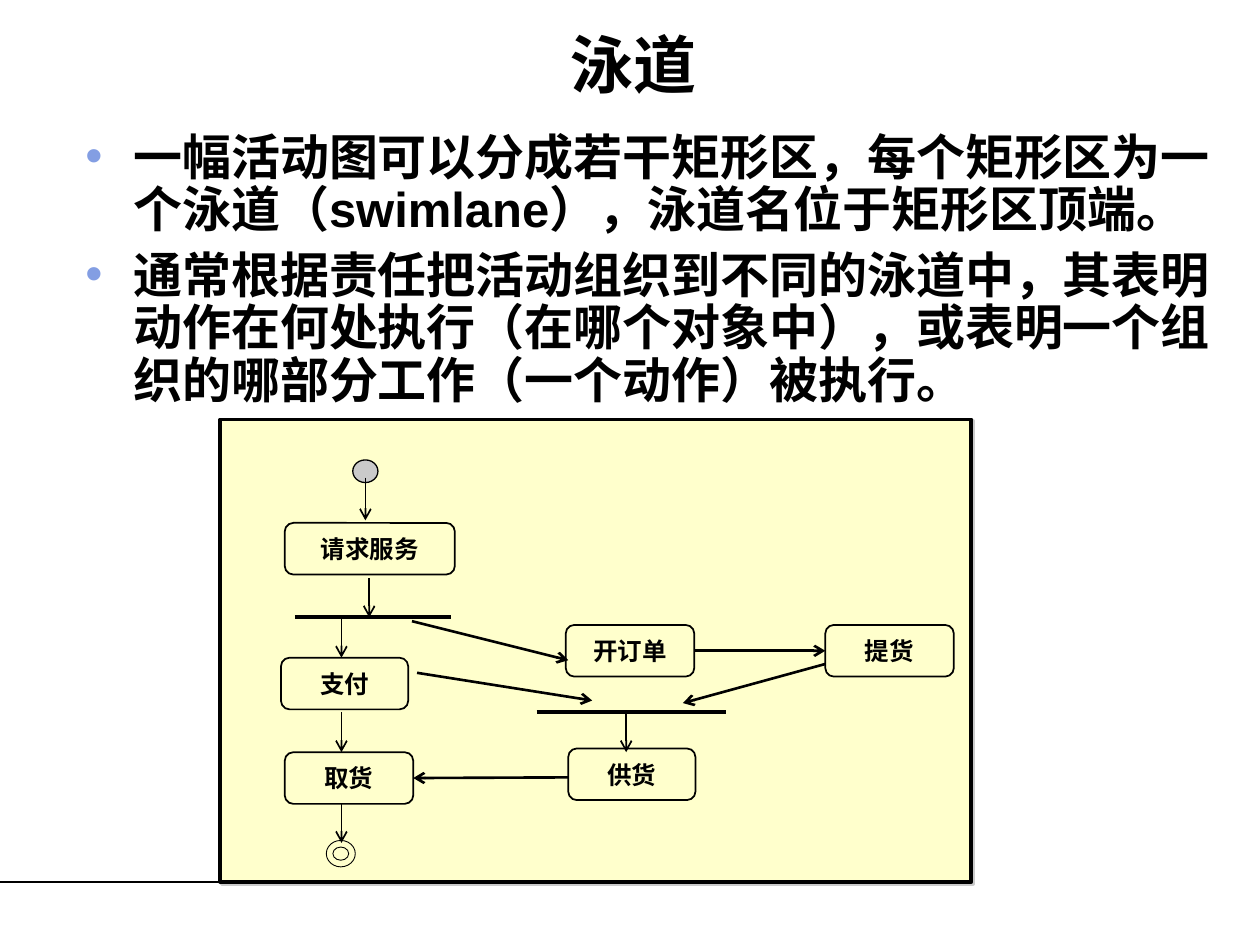
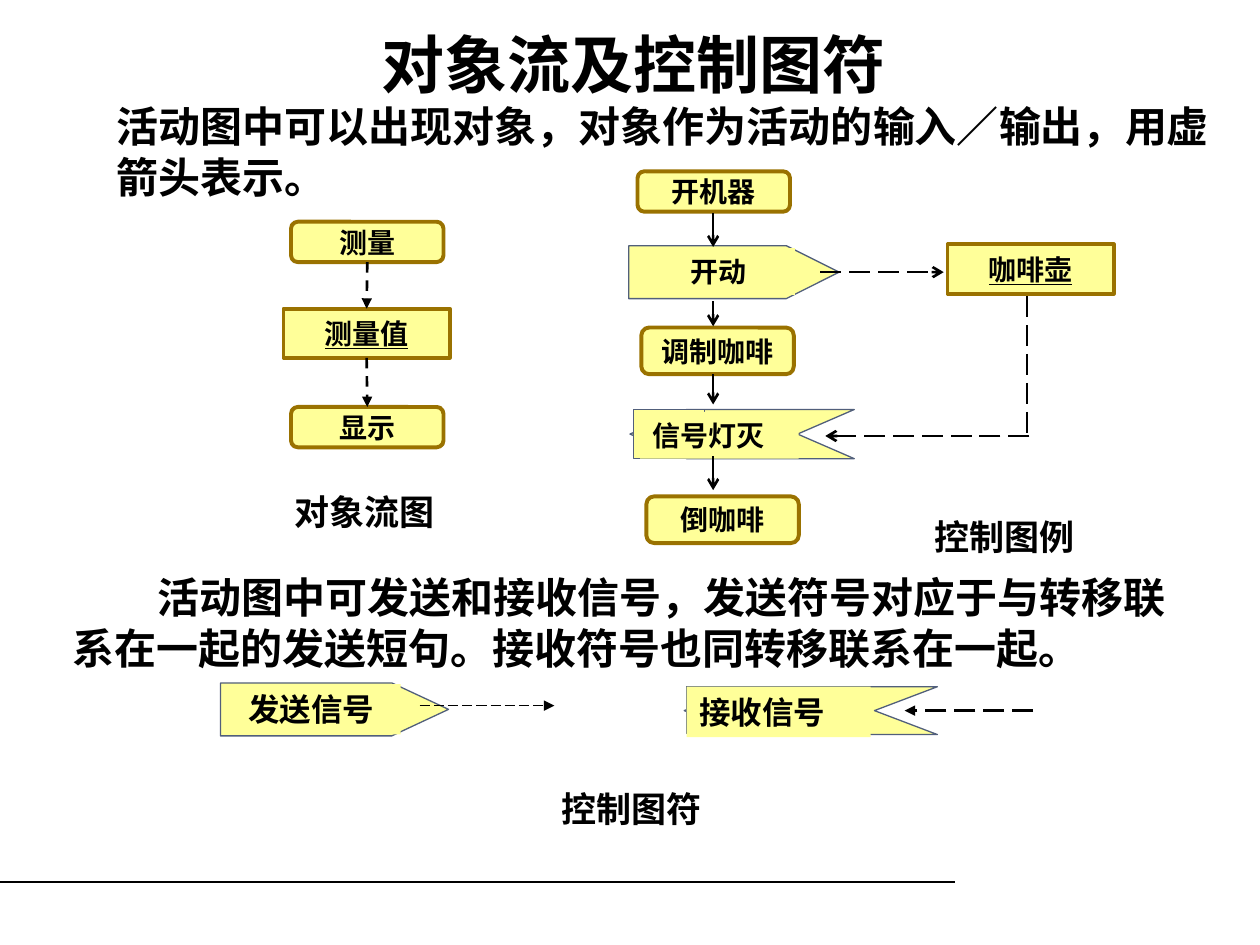
from lxml import etree
from pptx import Presentation
from pptx.dml.color import RGBColor
from pptx.enum.dml import MSO_LINE
from pptx.enum.shapes import MSO_CONNECTOR, MSO_SHAPE
from pptx.enum.text import MSO_ANCHOR, PP_ALIGN
from pptx.oxml.ns import qn
from pptx.util import Inches, Pt

BLACK = RGBColor(0, 0, 0)
GRAY = RGBColor(0xCA, 0xCA, 0xCA)
CREAM = RGBColor(0xFF, 0xFF, 0xCC)
YELLOW = RGBColor(0xFF, 0xFF, 0x99)
BROWN = RGBColor(0x9A, 0x72, 0x00)
SLATE = RGBColor(0x51, 0x5F, 0x7B)
BULLET = "839EE3"

ARIAL, TIMES, NOTO = "Arial", "Times New Roman", "Noto Sans CJK SC"
RECT, ROUND = MSO_SHAPE.RECTANGLE, MSO_SHAPE.ROUNDED_RECTANGLE
DOT, DONUT = MSO_SHAPE.FLOWCHART_CONNECTOR, MSO_SHAPE.DONUT
LEFT, CENTER = PP_ALIGN.LEFT, PP_ALIGN.CENTER
TOP, MIDDLE = MSO_ANCHOR.TOP, MSO_ANCHOR.MIDDLE
DASH, LONG = MSO_LINE.DASH, MSO_LINE.LONG_DASH
STRAIGHT = MSO_CONNECTOR.STRAIGHT
PITCH = 1.2  # line height as a share of the text size


def put(slide, kind, at, fill=None, line=None, width=0.75, text="",
        size=16, face=NOTO, align=LEFT, anchor=TOP, wrap=True, tight=1):
    """Place the title, a text box or a preset shape, with its text."""
    place = [Inches(v) for v in at]
    if kind == "title":
        shape = slide.shapes.title
        shape.left, shape.top, shape.width, shape.height = place
    elif kind == "text":
        shape = slide.shapes.add_textbox(*place)
    else:
        shape = slide.shapes.add_shape(kind, *place)
        shape.shadow.inherit = False
        if fill is None:
            shape.fill.background()
        else:
            shape.fill.solid()
            shape.fill.fore_color.rgb = fill
        if line is None:
            shape.line.fill.background()
        else:
            shape.line.color.rgb = line
            shape.line.width = Pt(width)
    if not text:
        return shape
    frame = shape.text_frame
    frame.word_wrap = wrap
    frame.vertical_anchor = anchor
    for i, words in enumerate(text.split("\n")):
        para = frame.add_paragraph() if i else frame.paragraphs[0]
        para.alignment = align
        para.line_spacing = Pt(round(size * PITCH * tight, 1))
        run = para.add_run()
        run.text = words
        font = run.font
        font.name, font.size, font.bold = face, Pt(size), True
        font.color.rgb = BLACK
        east = etree.SubElement(run._r.get_or_add_rPr(), qn("a:ea"))
        east.set("typeface", NOTO)
    return shape


def wire(slide, ends, width=1.0, head="arrow", dash=None):
    """Draw a straight line, with an arrowhead at its end if one is named."""
    link = slide.shapes.add_connector(STRAIGHT, *[Inches(v) for v in ends])
    link.line.color.rgb = BLACK
    link.line.width = Pt(width)
    if dash:
        link.line.dash_style = dash
    if head:
        tail = etree.SubElement(link.line._get_or_add_ln(), qn("a:tailEnd"))
        tail.set("type", head)
    etree.SubElement(link._element.spPr, qn("a:effectLst"))
    return link


prs = Presentation()
prs.slide_width, prs.slide_height = Inches(10), Inches(7.5)

# Shared: title and footer line
slides = []
for name in ("泳道", "对象流及控制图符"):
    page = prs.slides.add_slide(prs.slide_layouts[5])
    wire(page, (0, 7, 7.58, 7), 0.75, None)
    put(page, "title", (0.5, 0.25, 9.05, 0.5), text=name, size=36,
        face=ARIAL, align=CENTER, anchor=MIDDLE)
    slides.append(page)
lanes, flows = slides

# Slide 1: panel with its shadow
panel = put(lanes, RECT, (1.75, 3.33, 5.96, 3.67), CREAM, BLACK, 2.25)
glow = etree.SubElement(panel._element.spPr.find(qn("a:effectLst")),
                        qn("a:outerShdw"), dist=str(Pt(1.4)), dir="2700000",
                        algn="ctr", rotWithShape="0")
etree.SubElement(glow, qn("a:srgbClr"), val=str(GRAY))

# Slide 1: start, end and activities
put(lanes, DOT, (2.8, 3.65, 0.2, 0.18), GRAY, BLACK)
ring = put(lanes, DONUT, (2.59, 6.67, 0.23, 0.21), None, BLACK, 0.5)
ring.adjustments[0] = 0.25
acts = {}
for name, x, y, w in (
    ("请求服务", 2.26, 4.15, 1.35),
    ("支付", 2.23, 5.22, 1.01),
    ("取货", 2.26, 5.97, 1.02),
    ("提货", 6.55, 4.96, 1.02),
    ("开订单", 4.49, 4.96, 1.02),
    ("供货", 4.51, 5.94, 1.01),
):
    acts[name] = put(lanes, ROUND, (x, y, w, 0.41), None, BLACK, 1, name, 14,
                     align=CENTER, anchor=MIDDLE, wrap=False)

# Slide 1: fork and join bars, then transitions
for bar in ((2.34, 4.9, 3.58, 4.9), (4.26, 5.65, 5.76, 5.65)):
    wire(lanes, bar, 2.25, None)
for x, y, end in ((2.9, 3.79, 4.13), (2.93, 4.59, 4.9), (2.71, 4.9, 5.22),
                  (2.71, 5.65, 5.97), (2.71, 6.38, 6.69), (4.97, 5.65, 5.97)):
    wire(lanes, (x, y, x, end))
for ends in ((3.27, 4.93, 4.51, 5.24), (3.31, 5.34, 4.7, 5.56),
             (6.55, 5.27, 5.42, 5.58)):
    wire(lanes, ends, 1.5)
link = wire(lanes, (5.53, 5.16, 6.55, 5.16), 1.5)
link.begin_connect(acts["开订单"], 3)
link.end_connect(acts["提货"], 1)
link = wire(lanes, (4.51, 6.17, 3.28, 6.17), 1.5)
link.end_connect(acts["取货"], 3)

# Slide 1: bullets
body = put(
    lanes, "text", (0.58, 1, 9.25, 2.5), size=28, face=ARIAL, tight=0.9,
    text="一幅活动图可以分成若干矩形区，每个矩形区为一个泳道（swimlane），"
         "泳道名位于矩形区顶端。\n"
         "通常根据责任把活动组织到不同的泳道中，其表明动作在何处执行"
         "（在哪个对象中），或表明一个组织的哪部分工作（一个动作）被执行。")
for i, para in enumerate(body.text_frame.paragraphs):
    para.space_before = Pt(7 if i else 0)
    props = para._p.get_or_add_pPr()
    props.set("marL", str(Inches(0.38)))
    props.set("indent", str(-Inches(0.38)))
    tint = etree.SubElement(props, qn("a:buClr"))
    etree.SubElement(tint, qn("a:srgbClr"), val=BULLET)
    etree.SubElement(props, qn("a:buFont"), typeface=ARIAL)
    etree.SubElement(props, qn("a:buChar"), char="•")

# Slide 2: running text
put(flows, "text", (0.83, 0.75, 8.91, 0.9), size=24, face=TIMES,
    text="活动图中可以出现对象，对象作为活动的输入／输出，用虚箭头表示。")
note = put(flows, "text", (0.48, 4.49, 9.06, 0.9), size=24,
           text="活动图中可发送和接收信号，发送符号对应于与转移联系在一起的"
                "发送短句。接收符号也同转移联系在一起。")
note.text_frame.paragraphs[0]._p.get_or_add_pPr().set(
    "indent", str(Inches(0.67)))

# Slide 2: send tags (point right) and receive tags (notch right)
for x, y, w, h, tip, notch in (
    (1.75, 5.42, 1.81, 0.42, 0.45, False),
    (5.43, 5.45, 2.01, 0.38, 0.5, True),
    (4.99, 1.95, 1.67, 0.42, 0.42, False),
    (5, 3.25, 1.78, 0.39, 0.45, True),
):
    right, mid, low = x + w, y + h / 2, y + h
    if notch:
        dots = [(right, low), (x + tip, low), (x, mid), (x + tip, y),
                (right, y), (right - tip, mid)]
    else:
        dots = [(x, y), (right - tip, y), (right, mid), (right - tip, low),
                (x, low)]
    dots = [(Inches(a), Inches(b)) for a, b in dots]
    pen = flows.shapes.build_freeform(*dots[0])
    pen.add_line_segments(dots[1:], close=True)
    tag = pen.convert_to_shape()
    tag.shadow.inherit = False
    tag.fill.solid()
    tag.fill.fore_color.rgb = YELLOW
    tag.line.color.rgb = SLATE
    tag.line.width = Pt(0.75)

# Slide 2: square left ends and tag names
for at in ((5.45, 5.45, 0.63, 0.37), (5.03, 3.25, 0.56, 0.39)):
    put(flows, RECT, at, YELLOW, SLATE)
for name, at, size, align in (
    ("发送信号", (1.87, 5.43, 1.31, 0.4), 18, LEFT),
    ("接收信号", (5.45, 5.45, 1.46, 0.4), 18, LEFT),
    ("开动", (5.1, 1.97, 1.21, 0.37), 16, CENTER),
    ("信号灯灭", (5.08, 3.27, 1.26, 0.37), 16, LEFT),
):
    put(flows, RECT, at, YELLOW, text=name, size=size, face=TIMES, align=align)

# Slide 2: activities (rounded) and objects (square, underlined)
steps = {}
for name, kind, at in (
    ("测量", ROUND, (2.31, 1.76, 1.21, 0.32)),
    ("测量值", RECT, (2.25, 2.45, 1.32, 0.39)),
    ("显示", ROUND, (2.31, 3.23, 1.21, 0.32)),
    ("开机器", ROUND, (5.06, 1.36, 1.21, 0.32)),
    ("调制咖啡", ROUND, (5.09, 2.6, 1.21, 0.37)),
    ("倒咖啡", ROUND, (5.13, 3.94, 1.21, 0.37)),
    ("咖啡壶", RECT, (7.52, 1.94, 1.32, 0.39)),
):
    step = put(flows, kind, at, YELLOW, BROWN, 2.25, name, 16, TIMES,
               CENTER, MIDDLE, False)
    if kind == RECT:
        step.text_frame.paragraphs[0].runs[0].font.underline = True
    steps[name] = step

# Slide 2: object flow and control flow
for one, two, y, end in (("测量", "测量值", 2.08, 2.45),
                         ("测量值", "显示", 2.84, 3.23)):
    link = wire(flows, (2.91, y, 2.91, end), 1.5, "triangle", DASH)
    link.begin_connect(steps[one], 2)
    link.end_connect(steps[two], 0)
for y, end in ((1.69, 1.96), (2.39, 2.59), (2.97, 3.21), (3.62, 3.89)):
    wire(flows, (5.66, y, 5.66, end), 1.5)
for ends, width, head in (
    ((6.51, 2.16, 7.49, 2.16), 1.5, "arrow"),
    ((8.15, 2.35, 8.15, 3.47), 1.5, None),
    ((8.17, 3.46, 6.55, 3.46), 1.5, "arrow"),
    ((3.33, 5.6, 4.4, 5.6), 0.75, "triangle"),
    ((8.2, 5.64, 7.18, 5.64), 1.5, "triangle"),
):
    wire(flows, ends, width, head, LONG)

# Slide 2: captions
for name, x, y, w in (("控制图符", 3.48, 6.2, 3.06),
                      ("对象流图", 2.01, 3.84, 1.77),
                      ("控制图例", 6.91, 4.04, 2.12)):
    put(flows, "text", (x, y, w, 0.44), text=name, size=20, align=CENTER)

prs.save("out.pptx")
